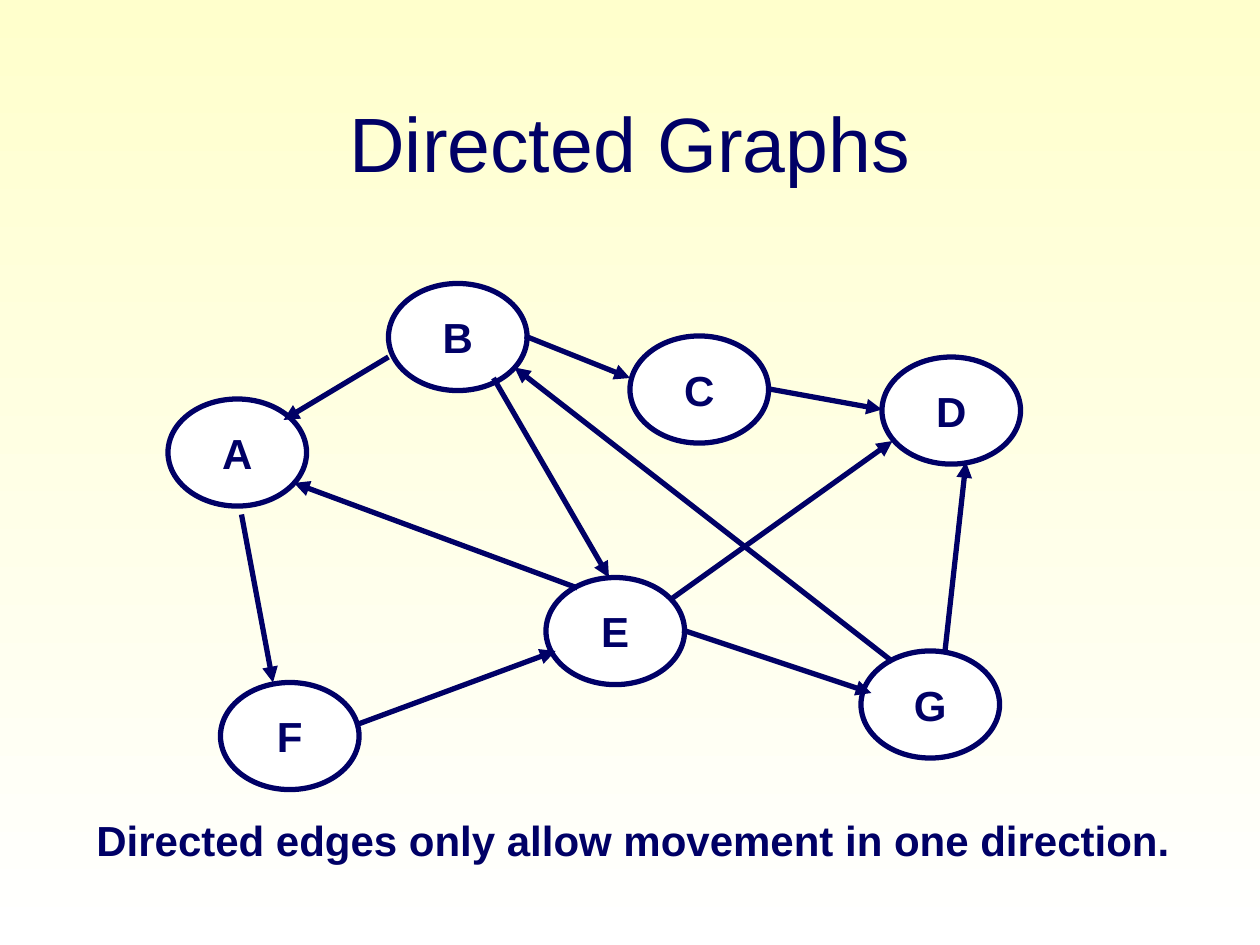
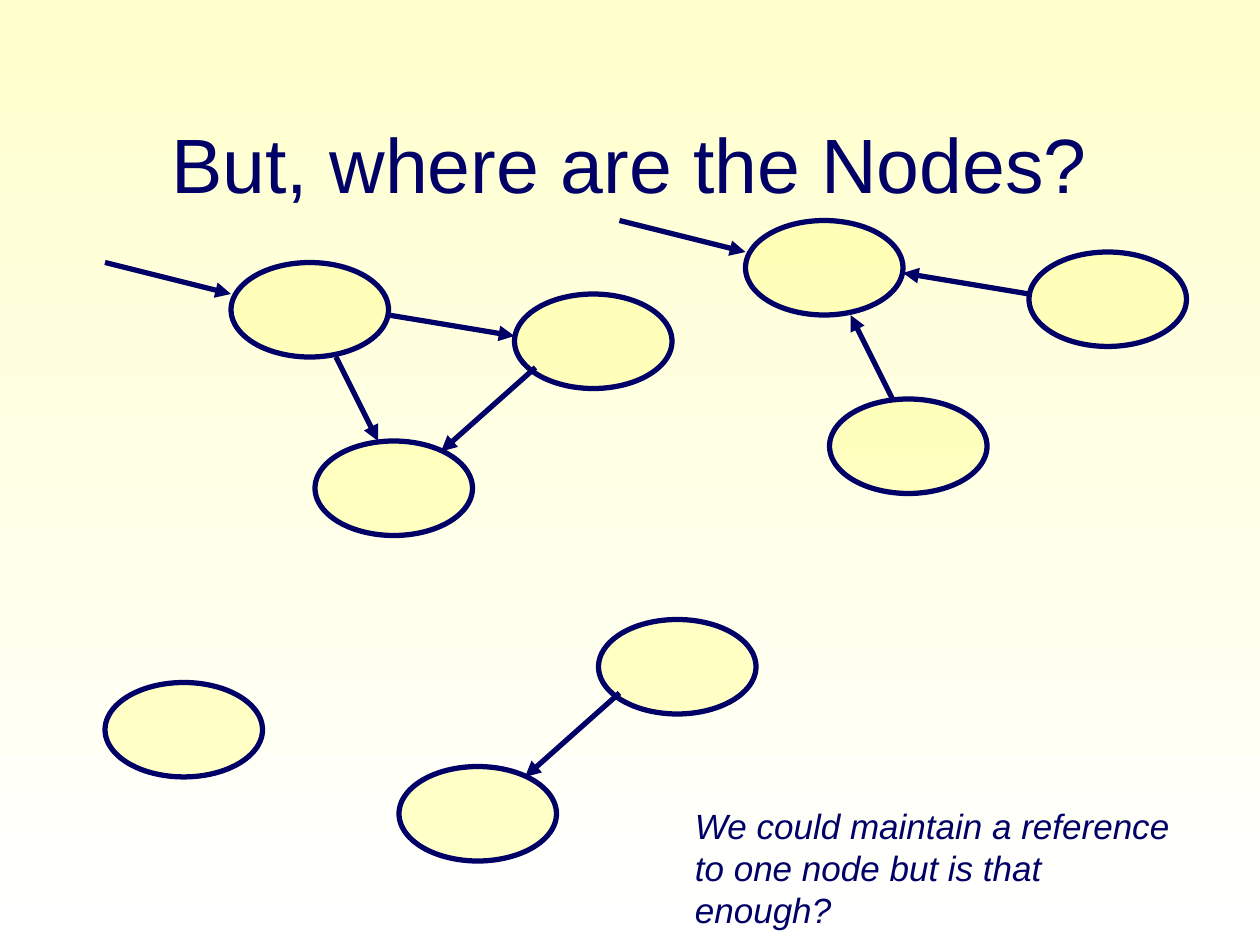
"""Build two slides about directed graphs and node references."""
from dataclasses import dataclass

from lxml import etree
from pptx import Presentation
from pptx.dml.color import RGBColor
from pptx.enum.shapes import MSO_CONNECTOR, MSO_SHAPE
from pptx.enum.text import MSO_ANCHOR, PP_ALIGN
from pptx.oxml.ns import qn
from pptx.util import Pt

OVAL = MSO_SHAPE.OVAL
STRAIGHT = MSO_CONNECTOR.STRAIGHT
LEFT, CENTER = PP_ALIGN.LEFT, PP_ALIGN.CENTER
TOP, MIDDLE = MSO_ANCHOR.TOP, MSO_ANCHOR.MIDDLE
BLANK_LAYOUT = 6
SLIDE_SIZE = (720, 540)


@dataclass(frozen=True)
class Theme:
    ink: RGBColor = RGBColor(0x00, 0x00, 0x66)
    white: RGBColor = RGBColor(0xFF, 0xFF, 0xFF)
    cream: RGBColor = RGBColor(0xFF, 0xFF, 0xCC)
    yellow: RGBColor = RGBColor(0xFF, 0xFF, 0x99)
    font: str = "Arial"
    title_size: int = 44
    label_size: int = 24
    note_size: int = 20
    line_width: int = 3


THEME = Theme()
TITLE_FORMAT = {"size": Pt(THEME.title_size)}
LABEL_FORMAT = {"size": Pt(THEME.label_size), "bold": True}
NOTE_FORMAT = {"size": Pt(THEME.note_size), "italic": True}

GRAPH_TITLE = ("Directed Graphs", (54, 48, 612, 66))
GRAPH_CAPTION = ("Directed edges only allow movement in one direction.", (48, 462, 628, 36))
GRAPH_NODE_SIZE = (79.2, 61.2)
GRAPH_NODES = {
    "B": (222, 162),
    "F": (126, 390),
    "C": (360, 192),
    "A": (96, 228),
    "E": (312, 330),
    "G": (492, 372),
    "D": (504, 204),
}
GRAPH_EDGES = {
    "AF": ((138, 294), (156, 390)),
    "FE": ((204, 414), (317.5, 372)),
    "EA": ((330, 336), (168, 276)),
    "BA": ((222, 204), (162, 240)),
    "BE": ((282, 216), (348, 330)),
    "EG": ((390, 360), (498, 396)),
    "GB": ((510, 378), (294, 210)),
    "ED": ((384, 342), (510, 252)),
    "CD": ((438, 222), (504, 234)),
    "GD": ((540, 372), (552, 264)),
    "BC": ((300, 192), (360, 216)),
}

NODES_TITLE = ("But, where are the Nodes?", (54, 48, 612, 90))
NODES_NOTE = (
    "We could maintain a reference\nto one node but is that enough?",
    (390, 456, 292, 84),
)
CLUSTER_NODE_SIZE = (90, 54)
CLUSTER_NODES = {"root": (0, 0), "lower": (48, 102), "right": (162, 18)}
CLUSTER_EDGES = {
    ("reference", "root"): ((-72, 0), (0, 18)),
    ("root", "right"): ((90, 30), (162, 42)),
    ("right", "lower"): ((174, 60), (120, 108)),
    ("root", "lower"): ((60, 54), (84, 102)),
}
CLUSTERS = [
    ((132, 150), ["root", "lower", "right"],
     [("root", "right"), ("right", "lower"), ("root", "lower"), ("reference", "root")]),
    ((180, 336), ["lower", "right"], [("right", "lower")]),
    ((60, 390), ["root"], []),
    ((426, 126), ["root", "lower", "right"],
     [("right", "root"), ("lower", "root"), ("reference", "root")]),
]


def points(values):
    return [Pt(value) for value in values]


def shift(position, origin):
    return tuple(a + b for a, b in zip(position, origin))


def write_text(shape, text, text_format, alignment, anchor, wrap):
    frame = shape.text_frame
    frame.text = text
    frame.word_wrap = wrap
    frame.vertical_anchor = anchor
    for paragraph in frame.paragraphs:
        paragraph.alignment = alignment
        for name, value in {"name": THEME.font, **text_format}.items():
            setattr(paragraph.font, name, value)
        paragraph.font.color.rgb = THEME.ink


def add_text(slide, content, text_format, alignment=LEFT, anchor=TOP, wrap=True):
    text, box = content
    shape = slide.shapes.add_textbox(*points(box))
    write_text(shape, text, text_format, alignment, anchor, wrap)


def style_line(line):
    line.color.rgb = THEME.ink
    line.width = Pt(THEME.line_width)


def add_node(slide, position, size, color, opacity=100):
    node = slide.shapes.add_shape(OVAL, *points(position + size))
    node.shadow.inherit = False
    node.fill.solid()
    node.fill.fore_color.rgb = color
    if opacity < 100:
        fill_color = node.fill._xPr.find(f"{qn('a:solidFill')}/{qn('a:srgbClr')}")
        etree.SubElement(fill_color, qn("a:alpha"), val=str(opacity * 1000))
    style_line(node.line)
    return node


def add_edge(slide, start, end):
    edge = slide.shapes.add_connector(STRAIGHT, *points(start + end))
    style_line(edge.line)
    properties = edge.line._get_or_add_ln()
    etree.SubElement(properties, qn("a:tailEnd"), type="triangle")
    etree.SubElement(properties.getparent(), qn("a:effectLst"))


def add_slide(presentation, title):
    slide = presentation.slides.add_slide(presentation.slide_layouts[BLANK_LAYOUT])
    fill = slide.background.fill
    fill.gradient()
    fill.gradient_angle = 270
    for stop, position, color in zip(fill.gradient_stops, (0, 1), (THEME.cream, THEME.white)):
        stop.position = position
        stop.color.rgb = color
    add_text(slide, title, TITLE_FORMAT, CENTER, MIDDLE)
    return slide


def build_graph_slide(presentation):
    slide = add_slide(presentation, GRAPH_TITLE)
    for label, position in GRAPH_NODES.items():
        node = add_node(slide, position, GRAPH_NODE_SIZE, THEME.white)
        write_text(node, label, LABEL_FORMAT, CENTER, MIDDLE, False)
    for start, end in GRAPH_EDGES.values():
        add_edge(slide, start, end)
    add_text(slide, GRAPH_CAPTION, LABEL_FORMAT, wrap=False)


def build_nodes_slide(presentation):
    slide = add_slide(presentation, NODES_TITLE)
    for origin, nodes, edges in CLUSTERS:
        for name in nodes:
            position = shift(CLUSTER_NODES[name], origin)
            add_node(slide, position, CLUSTER_NODE_SIZE, THEME.yellow, opacity=50)
        for source, target in edges:
            ends = CLUSTER_EDGES.get((source, target)) or CLUSTER_EDGES[target, source][::-1]
            add_edge(slide, *(shift(end, origin) for end in ends))
    add_text(slide, NODES_NOTE, NOTE_FORMAT)


def main():
    presentation = Presentation()
    presentation.slide_width, presentation.slide_height = points(SLIDE_SIZE)
    build_graph_slide(presentation)
    build_nodes_slide(presentation)
    presentation.save("out.pptx")


if __name__ == "__main__":
    main()
